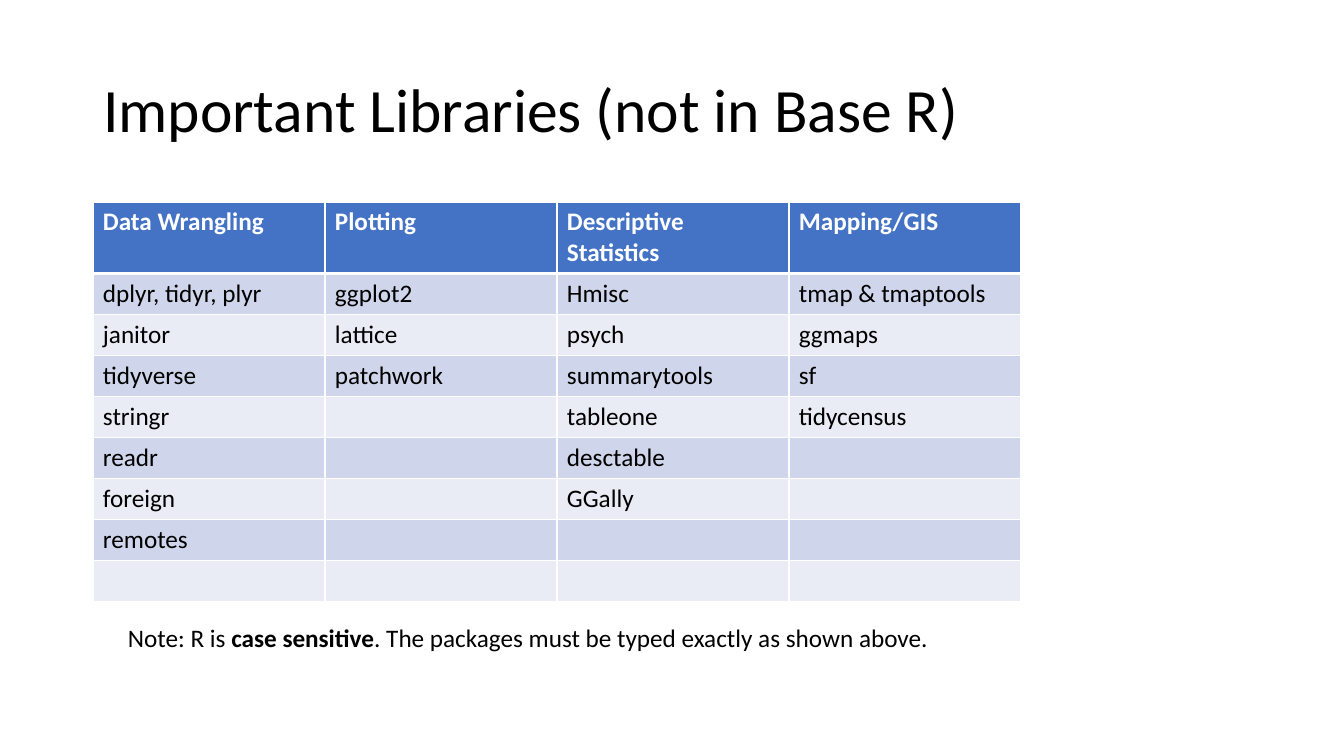
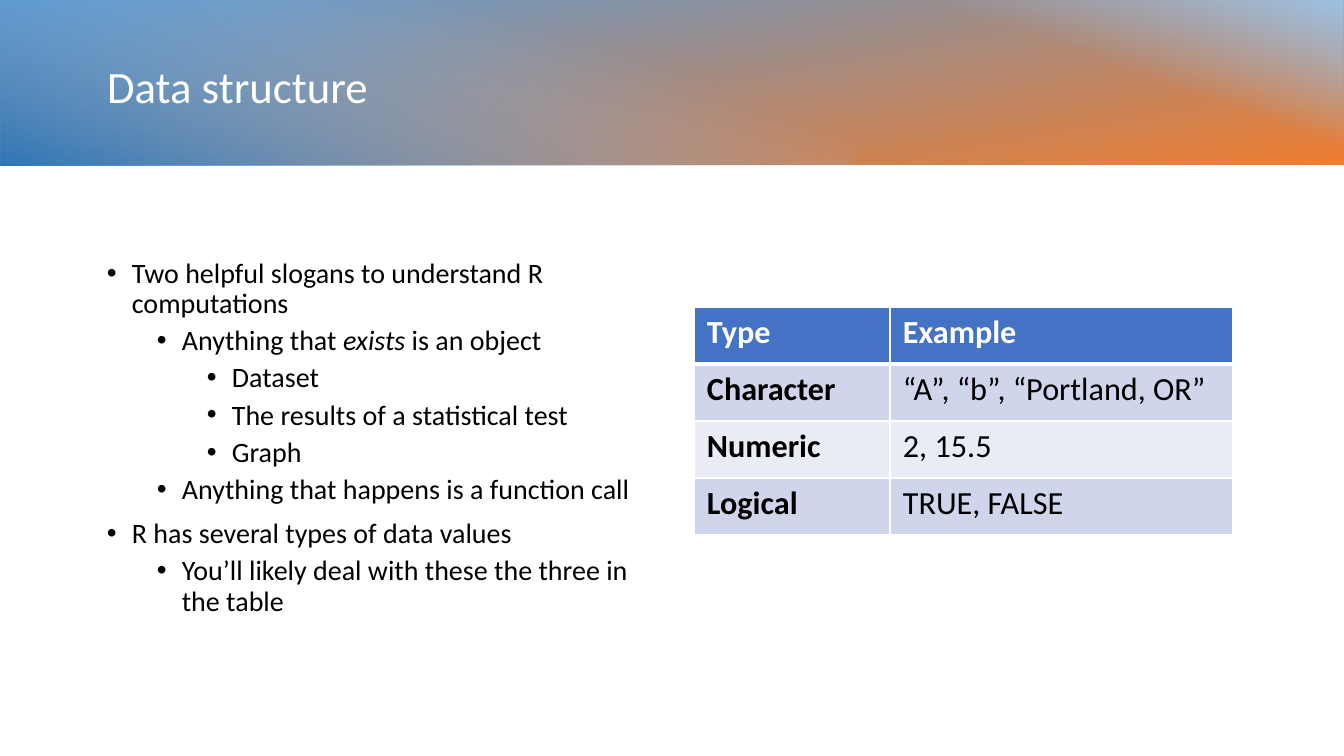
from lxml import etree
from pptx import Presentation
from pptx.dml.color import RGBColor
from pptx.enum.shapes import MSO_SHAPE as SHAPE
from pptx.enum.text import MSO_ANCHOR as ANCHOR, MSO_AUTO_SIZE as AUTOSIZE, PP_ALIGN as ALIGN
from pptx.oxml import parse_xml
from pptx.oxml.ns import nsdecls, qn
from pptx.util import Pt

PX = 12192000 / 1344  # EMU per px

FONT = "Calibri"
BLACK = RGBColor(0x00, 0x00, 0x00)
WHITE = RGBColor(0xFF, 0xFF, 0xFF)
HEADER_BLUE = RGBColor(0x44, 0x72, 0xC4)
ROW_DARK = RGBColor(0xCF, 0xD5, 0xEA)
ROW_LIGHT = RGBColor(0xE9, 0xEB, 0xF5)
SKY = RGBColor(0x5B, 0x9B, 0xD5)
ORANGE = RGBColor(0xED, 0x7D, 0x31)
PALE_BLUE = RGBColor(0x9D, 0xC3, 0xE6)
DEEP_BLUE = RGBColor(0x2E, 0x75, 0xB6)


def px(*lengths):
    return [round(n * PX) for n in lengths]


def write_text(p, text, size, color, emphasis="bold"):
    """Add runs to p; the parts between asterisks get the emphasis."""
    for i, part in enumerate(text.split("*")):
        if part:
            r = p.add_run()
            r.text = part
            fmt = {"name": FONT, "size": Pt(size), emphasis: i % 2 == 1}
            for key, value in fmt.items():
                setattr(r.font, key, value)
            r.font.color.rgb = color


prs = Presentation()
prs.slide_width, prs.slide_height = px(1344, 756)

# Titles
titles = [
    ("Important Libraries (not in Base R)", (93, 40, 1159, 146), 44, BLACK),
    ("Data structure", (97, 33, 1155, 111), 32, WHITE),
]
slides = []
for text, box, size, color in titles:
    s = prs.slides.add_slide(prs.slide_layouts[5])
    sp = s.shapes.title
    sp.left, sp.top, sp.width, sp.height = px(*box)
    tf = sp.text_frame
    for key, value in {"word_wrap": True, "auto_size": AUTOSIZE.NONE,
                       "vertical_anchor": ANCHOR.MIDDLE}.items():
        setattr(tf, key, value)
    p = tf.paragraphs[0]
    p.alignment, p.line_spacing = ALIGN.LEFT, 0.9
    write_text(p, text, size, color)
    slides.append(s)
libraries, structure = slides

# Gradient band: left, length, rotation, gradient angle, stops (position, colour, alpha)
BAND_HEIGHT, BAND_MIDDLE = 167, 81
bands = [
    (0, 1344, 270, 170, [(0, SKY, 100), (100, ORANGE, 100)]),
    (786, 558, 270, 20, [(59, PALE_BLUE, 0), (100, PALE_BLUE, 100)]),
    (0, 851, 90, 20, [(29, PALE_BLUE, 0), (100, DEEP_BLUE, 100)]),
]
for left, length, rotation, angle, stops in bands:
    sp = structure.shapes.add_shape(
        SHAPE.RECTANGLE,
        *px(left + (length - BAND_HEIGHT) // 2, BAND_MIDDLE - length // 2, BAND_HEIGHT, length))
    sp.rotation = rotation
    sp.shadow.inherit = False
    sp.line.fill.background()
    stop_xml = "".join(
        f'<a:gs pos="{pos * 1000}"><a:srgbClr val="{color}">'
        f'<a:alpha val="{alpha * 1000}"/></a:srgbClr></a:gs>'
        for pos, color, alpha in stops)
    sp.fill.gradient()
    gradient = sp._element.spPr.find(qn("a:gradFill"))
    gradient.getparent().replace(gradient, parse_xml(
        f'<a:gradFill {nsdecls("a")} rotWithShape="1"><a:gsLst>{stop_xml}</a:gsLst>'
        f'<a:lin ang="{angle * 60000}" scaled="0"/></a:gradFill>'))
structure.shapes._spTree.append(structure.shapes.title._element)

# Tables
library_rows = [
    ["*Data Wrangling*", "*Plotting*", "*Descriptive Statistics*", "*Mapping/GIS*"],
    ["dplyr, tidyr, plyr", "ggplot2", "Hmisc", "tmap & tmaptools"],
    ["janitor", "lattice", "psych", "ggmaps"],
    ["tidyverse", "patchwork", "summarytools", "sf"],
    ["stringr", "", "tableone", "tidycensus"],
    ["readr", "", "desctable", ""],
    ["foreign", "", "GGally", ""],
    ["remotes", "", "", ""],
    ["", "", "", ""],
]
type_rows = [
    ["*Type*", "*Example*"],
    ["*Character*", "“A”, “b”, “Portland, OR”"],
    ["*Numeric*", "2, 15.5"],
    ["*Logical*", "TRUE, FALSE"],
]
# slide, left, top, column widths, header height, row height, text size, cell margins, rows
tables = [
    (libraries, 93, 202, [232] * 4, 70, 41, 18, (10, 5), library_rows),
    (structure, 694, 307, [196, 343], 57, 57, 23, (13, 6), type_rows),
]
for s, left, top, widths, header, height, size, (side, edge), rows in tables:
    heights = [header] + [height] * (len(rows) - 1)
    table = s.shapes.add_table(len(rows), len(widths),
                               *px(left, top, sum(widths), sum(heights))).table
    for column, width in zip(table.columns, px(*widths)):
        column.width = width
    for y, texts in enumerate(rows):
        table.rows[y].height = px(heights[y])[0]
        fill = HEADER_BLUE if y == 0 else ROW_DARK if y % 2 else ROW_LIGHT
        borders = {"lnL": 1, "lnR": 1, "lnT": 3 if y == 1 else 1, "lnB": 3 if y == 0 else 1}
        for x, text in enumerate(texts):
            cell = table.cell(y, x)
            cell.margin_left = cell.margin_right = px(side)[0]
            cell.margin_top = cell.margin_bottom = px(edge)[0]
            for tag, weight in borders.items():
                cell._tc.get_or_add_tcPr().append(parse_xml(
                    f'<a:{tag} {nsdecls("a")} w="{Pt(weight)}"><a:solidFill>'
                    f'<a:srgbClr val="{WHITE}"/></a:solidFill></a:{tag}>'))
            cell.fill.solid()
            cell.fill.fore_color.rgb = fill
            write_text(cell.text_frame.paragraphs[0], text, size, BLACK if y else WHITE)

# Note under the libraries
tf = libraries.shapes.add_textbox(*px(118, 617, 830, 40)).text_frame
tf.word_wrap = True
write_text(tf.paragraphs[0],
           "Note: R is *case sensitive*. The packages must be typed exactly as shown above.",
           18, BLACK)

# Bullets on data structure
bullets = [
    (0, "Two helpful slogans to understand R computations"),
    (1, "Anything that *exists* is an object"),
    (2, "Dataset"),
    (2, "The results of a statistical test"),
    (2, "Graph"),
    (1, "Anything that happens is a function call"),
    (0, "R has several types of data values"),
    (1, "You’ll likely deal with these the three in the table"),
]
INDENT, LEVEL_STEP = px(25, 50)
tf = structure.shapes.add_textbox(*px(97, 254, 554, 405)).text_frame
tf.word_wrap = True
for i, (level, text) in enumerate(bullets):
    p = tf.add_paragraph() if i else tf.paragraphs[0]
    for key, value in {"level": level, "line_spacing": 0.9,
                       "space_before": Pt(5 if level else 10)}.items():
        setattr(p, key, value)
    pPr = p._p.get_or_add_pPr()
    pPr.set("marL", str(INDENT + level * LEVEL_STEP))
    pPr.set("indent", str(-INDENT))
    etree.SubElement(pPr, qn("a:buFont"), typeface="Arial")
    etree.SubElement(pPr, qn("a:buChar"), char="•")
    write_text(p, text, 20, BLACK, "italic")

prs.save("out.pptx")
